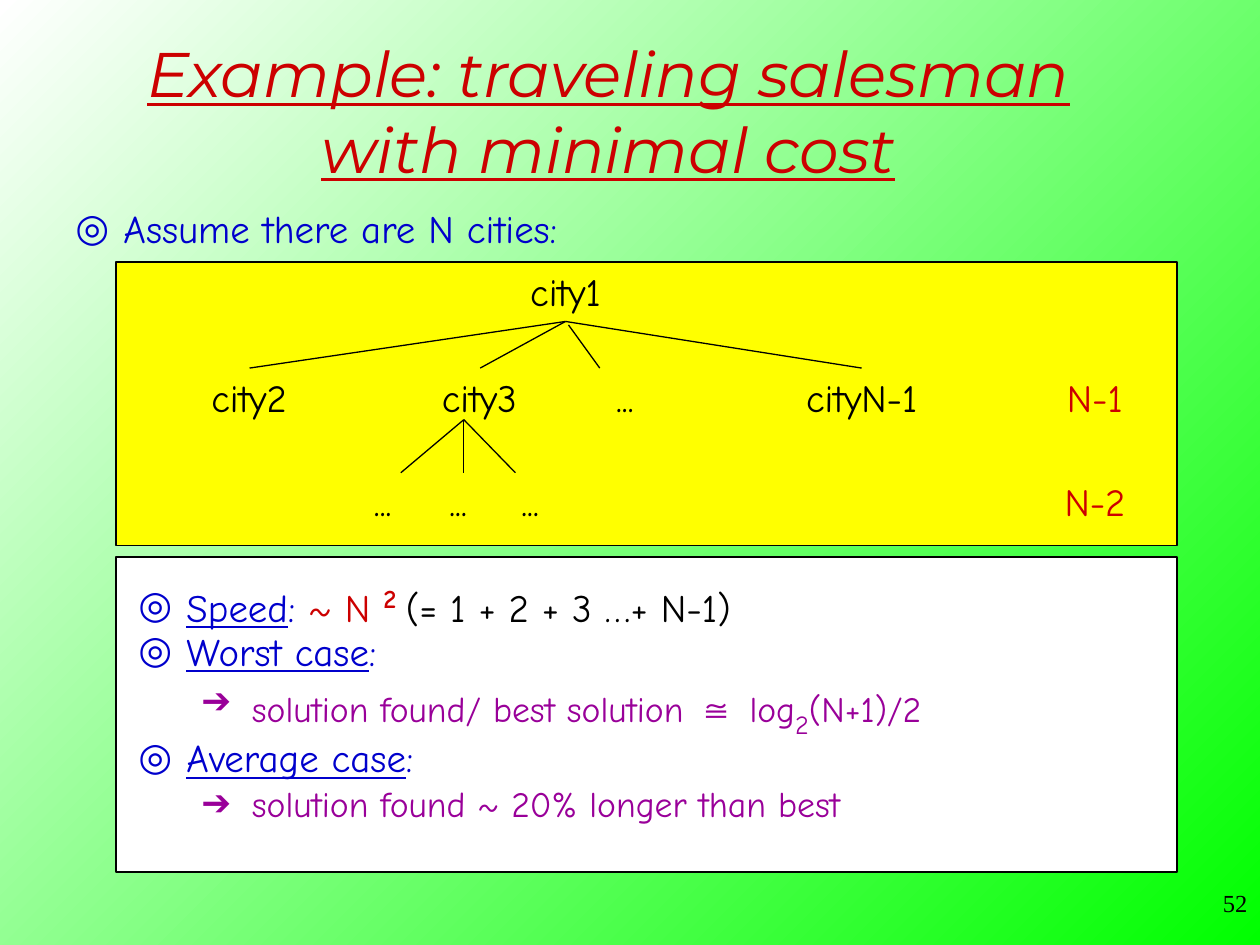
from lxml import etree
from pptx import Presentation
from pptx.dml.color import RGBColor
from pptx.enum.shapes import MSO_CONNECTOR, MSO_SHAPE
from pptx.enum.text import MSO_ANCHOR, MSO_AUTO_SIZE, PP_ALIGN
from pptx.oxml.ns import qn
from pptx.util import Cm, Pt

RECTANGLE = MSO_SHAPE.RECTANGLE
STRAIGHT = MSO_CONNECTOR.STRAIGHT
TOP, MIDDLE = MSO_ANCHOR.TOP, MSO_ANCHOR.MIDDLE
FIXED, GROW = MSO_AUTO_SIZE.NONE, MSO_AUTO_SIZE.SHAPE_TO_FIT_TEXT
LEFT, CENTER, RIGHT = PP_ALIGN.LEFT, PP_ALIGN.CENTER, PP_ALIGN.RIGHT

BLACK = RGBColor(0x00, 0x00, 0x00)
WHITE = RGBColor(0xFF, 0xFF, 0xFF)
GREEN = RGBColor(0x00, 0xFF, 0x00)
YELLOW = RGBColor(0xFF, 0xFF, 0x00)
RED = RGBColor(0xCC, 0x00, 0x00)
BLUE = RGBColor(0x00, 0x00, 0xCC)
PURPLE = RGBColor(0x99, 0x00, 0x99)

# Character formats
TITLE = {"name": "Montserrat", "size": Pt(36), "italic": True, "underline": True, "color": RED}
LABEL = {"name": "Comic Neue", "size": Pt(22), "color": BLACK}
RED_LABEL = {**LABEL, "color": RED}
POINT = {"name": "Comic Neue", "size": Pt(22.2), "color": BLUE}
HEADING = {**POINT, "underline": True}
DETAIL = {"name": "Comic Neue", "size": Pt(20.4), "color": PURPLE}
NUMBER = {"name": "Times New Roman", "size": Pt(14), "color": BLACK}

# Bullet levels: character, colour, left margin, hanging indent
RING = ("◎", BLUE, Cm(0.97), Cm(-0.97))
ARROW = ("➔", PURPLE, Cm(2.29), Cm(-1.02))


def add_text(box, paragraphs, wrap=True, anchor=TOP, alignment=LEFT):
    """Each paragraph is (bullet, paragraph format, runs); a run is (text, font format)."""
    shape = slide.shapes.add_textbox(*[Cm(value) for value in box])
    frame = shape.text_frame
    frame.word_wrap = wrap
    frame.auto_size = FIXED if wrap else GROW
    frame.vertical_anchor = anchor
    for index, (bullet, layout, runs) in enumerate(paragraphs):
        paragraph = frame.add_paragraph() if index else frame.paragraphs[0]
        paragraph.alignment = alignment
        if bullet:
            character, color, margin, indent = bullet
            properties = paragraph._p.get_or_add_pPr()
            properties.set("marL", str(margin))
            properties.set("indent", str(indent))
            bullet_color = etree.SubElement(properties, qn("a:buClr"))
            etree.SubElement(bullet_color, qn("a:srgbClr"), val=str(color))
            etree.SubElement(properties, qn("a:buFont"), typeface="Arial")
            etree.SubElement(properties, qn("a:buChar"), char=character)
        for name, value in layout.items():
            setattr(paragraph, name, value)
        for text, style in runs:
            if text == "\n":
                paragraph.add_line_break()
                continue
            run = paragraph.add_run()
            run.text = text
            for name, value in style.items():
                if name == "color":
                    run.font.color.rgb = value
                elif name == "baseline":
                    run._r.get_or_add_rPr().set("baseline", str(value))
                else:
                    setattr(run.font, name, value)


def add_panel(box, color):
    shape = slide.shapes.add_shape(RECTANGLE, *[Cm(value) for value in box])
    shape.shadow.inherit = False
    shape.fill.solid()
    shape.fill.fore_color.rgb = color
    shape.line.color.rgb = BLACK
    shape.line.width = Pt(0.75)


presentation = Presentation()
presentation.slide_width = Cm(25.4)
presentation.slide_height = Cm(19.05)
slide = presentation.slides.add_slide(presentation.slide_layouts[6])

# Background: green at bottom right fading to white at top left
background = slide.background.fill
background.gradient()
background.gradient_angle = 135
for stop, color, position in zip(background.gradient_stops, (GREEN, WHITE), (0, 1)):
    stop.color.rgb = color
    stop.position = position

# Title and opening point
title_runs = [("Example: traveling salesman", TITLE), ("\n", {}), ("with minimal cost", TITLE)]
add_text((1.47, 0.64, 21.59, 3.18), [(None, {}, title_runs)], anchor=MIDDLE, alignment=CENTER)
add_text((1.27, 4.01, 23.06, 1.27), [(RING, {}, [("Assume there are N cities:", POINT)])])

# Search tree: labels by row as (text, left, width, format)
add_panel((2.34, 5.28, 21.39, 5.72), YELLOW)
tree_rows = {
    5.28: [("city1", 10.44, 1.93, LABEL)],
    7.42: [
        ("city2", 4.01, 2.03, LABEL),
        ("city3", 8.66, 2.01, LABEL),
        ("...", 12.17, 0.86, LABEL),
        ("cityN-1", 16, 2.8, LABEL),
        ("N-1", 21.26, 1.63, RED_LABEL),
    ],
    9.51: [
        ("...", 7.29, 0.86, LABEL),
        ("...", 8.81, 0.86, LABEL),
        ("...", 10.26, 0.86, LABEL),
        ("N-2", 21.21, 1.73, RED_LABEL),
    ],
}
for top, labels in tree_rows.items():
    for text, left, width, style in labels:
        add_text((left, top, width, 1.19), [(None, {}, [(text, style)])], wrap=False)

# Branches: parent point, bottom of the branches, their lower ends
branches = [
    ((11.4, 6.48), 7.42, (5.03, 9.68, 17.37)),
    ((11.46, 6.55), 7.42, (12.09,)),
    ((9.35, 8.46), 9.53, (8.08, 9.35, 10.39)),
]
for (parent_x, parent_y), child_y, children in branches:
    for child_x in children:
        branch = slide.shapes.add_connector(
            STRAIGHT, Cm(parent_x), Cm(parent_y), Cm(child_x), Cm(child_y))
        branch.line.color.rgb = BLACK
        branch.line.width = Pt(0.75)
        etree.SubElement(branch._element.spPr, qn("a:effectLst"))

# Cost panel
add_panel((2.34, 11.23, 21.39, 6.35), WHITE)
add_text((2.54, 11.63, 20.75, 1.27), [(RING, {"line_spacing": 0.9}, [
    ("Speed", HEADING),
    (": ", POINT),
    ("~ N ", {**POINT, "color": RED}),
    ("2 ", {**POINT, "color": RED, "size": Pt(25.9), "bold": True, "baseline": 30000}),
    ("(= 1 + 2 + 3 …+ N-1)", {**POINT, "color": BLACK}),
])])

tight = {"line_spacing": 0.8}
point_spacing = {**tight, "space_before": Pt(6)}
detail_spacing = {**tight, "space_before": Pt(5.5)}
add_text((2.54, 12.7, 20.75, 4.65), [
    (RING, tight, [("Worst case", HEADING), (":", POINT)]),
    (ARROW, detail_spacing, [
        ("solution found/ best solution ", DETAIL),
        ("≅ ", {**DETAIL, "name": "Arial", "size": Pt(24.1), "bold": True}),
        ("log", DETAIL),
        ("2", {**DETAIL, "size": Pt(25.9), "baseline": -25000}),
        ("(N+1)/2", DETAIL),
    ]),
    (RING, point_spacing, [("Average case", HEADING), (":", POINT)]),
    (ARROW, detail_spacing, [("solution found ~ 20% longer than best", DETAIL)]),
])

# Slide number
add_text((20.12, 17.78, 5.28, 1.27), [(None, {}, [("52", NUMBER)])], alignment=RIGHT)

presentation.save("out.pptx")
